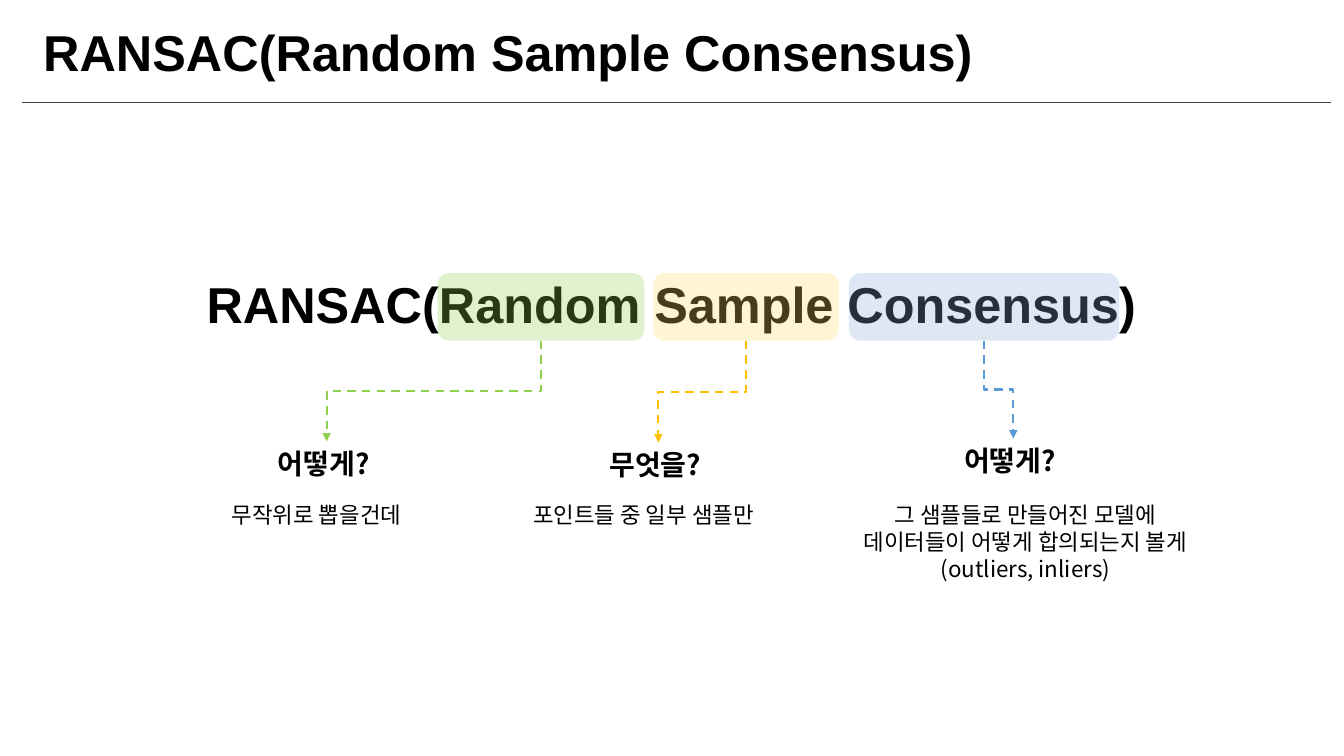
from lxml.etree import SubElement
from pptx import Presentation
from pptx.dml.color import RGBColor
from pptx.enum.dml import MSO_LINE
from pptx.enum.shapes import MSO_CONNECTOR, MSO_SHAPE
from pptx.enum.text import MSO_ANCHOR, MSO_AUTO_SIZE, PP_ALIGN
from pptx.oxml.ns import qn
from pptx.util import Inches, Pt

TITLE = "RANSAC(Random Sample Consensus)"
KOREAN = "Noto Sans CJK KR"
PILL_TOP, PILL_HEIGHT = 2.71, 0.67
HEADING_WIDTH, HEADING_HEIGHT = 1.17, 0.44
CAPTION_TOP = 4.92
LEFT, CENTER = PP_ALIGN.LEFT, PP_ALIGN.CENTER

# pill left, pill width, pill colour, arrow colour, arrow tip (x, y), heading
WORDS = [
    (4.34, 2.05, "92D050", "92D050", (3.24, 4.38), "어떻게?"),
    (6.48, 1.84, "FFD966", "FFC000", (6.53, 4.39), "무엇을?"),
    (8.42, 2.68, "8FAADC", "5B9BD5", (10.05, 4.35), "어떻게?"),
]
CAPTIONS = [
    (2.2, 2.08, 0.37, LEFT, "무작위로 뽑을건데"),
    (5.19, 2.68, 0.37, LEFT, "포인트들 중 일부 샘플만"),
    (8.27, 3.8, 0.91, CENTER,
     "그 샘플들로 만들어진 모델에\n데이터들이 어떻게 합의되는지 볼게\n(outliers, inliers)"),
]


def color(value):
    """Turn a hex string into a colour."""
    return RGBColor.from_string(value)


def add_text(page, text, left, top, width, height, size=16, font=KOREAN,
             bold=False, align=LEFT, wrap=False, anchor=MSO_ANCHOR.TOP):
    """Add a text box with one paragraph per line of text."""
    box = page.shapes.add_textbox(Inches(left), Inches(top), Inches(width), Inches(height))
    frame = box.text_frame
    frame.word_wrap = wrap
    frame.auto_size = MSO_AUTO_SIZE.NONE if wrap else MSO_AUTO_SIZE.SHAPE_TO_FIT_TEXT
    frame.vertical_anchor = anchor
    for index, line in enumerate(text.split("\n")):
        para = frame.add_paragraph() if index else frame.paragraphs[0]
        para.alignment = align
        span = para.add_run()
        span.text = line
        span.font.size = Pt(size)
        span.font.bold = bold
        span.font.color.rgb = color("000000")
        span.font.name = font
        SubElement(span.font._element, qn("a:ea"), typeface=font)


def add_title(page, left, top, width):
    """Add the large one-line title."""
    add_text(page, TITLE, left, top, width, 0.76, size=36, font="Arial",
             bold=True, wrap=True, anchor=MSO_ANCHOR.MIDDLE)


def add_pill(page, left, width, fill):
    """Add a translucent rounded highlight over a word."""
    pill = page.shapes.add_shape(MSO_SHAPE.ROUNDED_RECTANGLE, Inches(left),
                                 Inches(PILL_TOP), Inches(width), Inches(PILL_HEIGHT))
    pill.shadow.inherit = False
    pill.fill.solid()
    pill.fill.fore_color.rgb = color(fill)
    pill.line.fill.background()
    tint = pill.fill._xPr.find(qn("a:solidFill"))[0]
    SubElement(tint, qn("a:alpha"), val="28000")


def add_line(page, kind, start, end, stroke, width):
    """Add a connector without a shadow."""
    line = page.shapes.add_connector(kind, *[Inches(value) for value in (*start, *end)])
    line.line.color.rgb = color(stroke)
    line.line.width = Pt(width)
    SubElement(line._element.spPr, qn("a:effectLst"))
    return line


def add_drop_arrow(page, start, end, stroke):
    """Add a dashed elbow arrow that leaves and arrives vertically."""
    center_x, center_y = (start[0] + end[0]) / 2, (start[1] + end[1]) / 2
    rightward = end[0] > start[0]
    half_run = (end[1] - start[1]) / 2 * (1 if rightward else -1)
    half_rise = abs(end[0] - start[0]) / 2
    arrow = add_line(page, MSO_CONNECTOR.ELBOW,
                     (center_x + half_run, center_y - half_rise),
                     (center_x - half_run, center_y + half_rise), stroke, 1.5)
    arrow._element.spPr.find(qn("a:xfrm")).set("rot", str((270 if rightward else 90) * 60000))
    arrow.line.dash_style = MSO_LINE.DASH
    SubElement(arrow.line._get_or_add_ln(), qn("a:tailEnd"), type="triangle")


def main():
    """Build the slide and save it."""
    deck = Presentation()
    deck.slide_width, deck.slide_height = Inches(13.33), Inches(7.5)
    page = deck.slides.add_slide(deck.slide_layouts[6])
    add_line(page, MSO_CONNECTOR.STRAIGHT, (0.22, 1.02), (13.2, 1.02), "404040", 1)
    add_title(page, 0.33, 0.13, 12.78)
    add_title(page, 1.95, 2.63, 9.42)
    for left, width, fill, stroke, tip, heading in WORDS:
        add_pill(page, left, width, fill)
        add_drop_arrow(page, (left + width / 2, PILL_TOP + PILL_HEIGHT), tip, stroke)
        add_text(page, heading, tip[0] - HEADING_WIDTH / 2, tip[1],
                 HEADING_WIDTH, HEADING_HEIGHT, size=20, bold=True)
    for left, width, height, align, caption in CAPTIONS:
        add_text(page, caption, left, CAPTION_TOP, width, height, align=align)
    deck.save("out.pptx")


if __name__ == "__main__":
    main()
